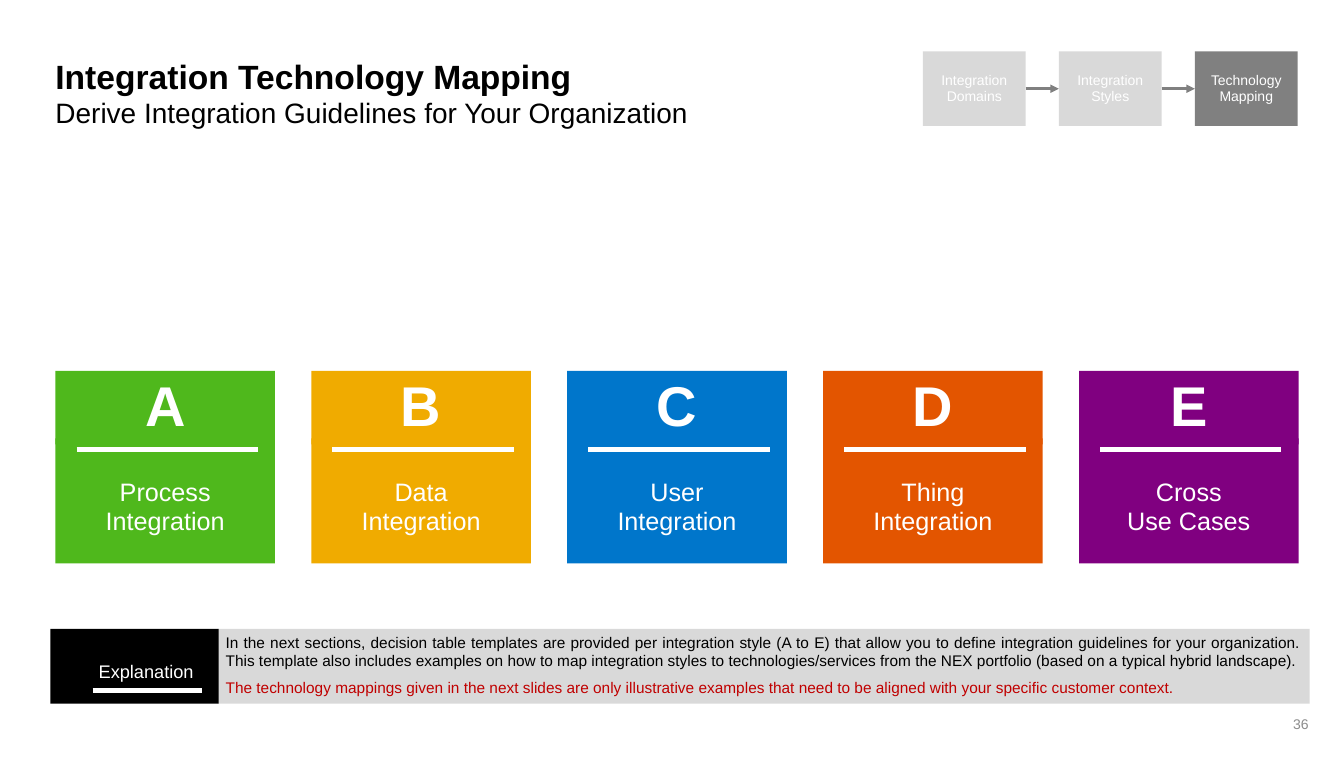
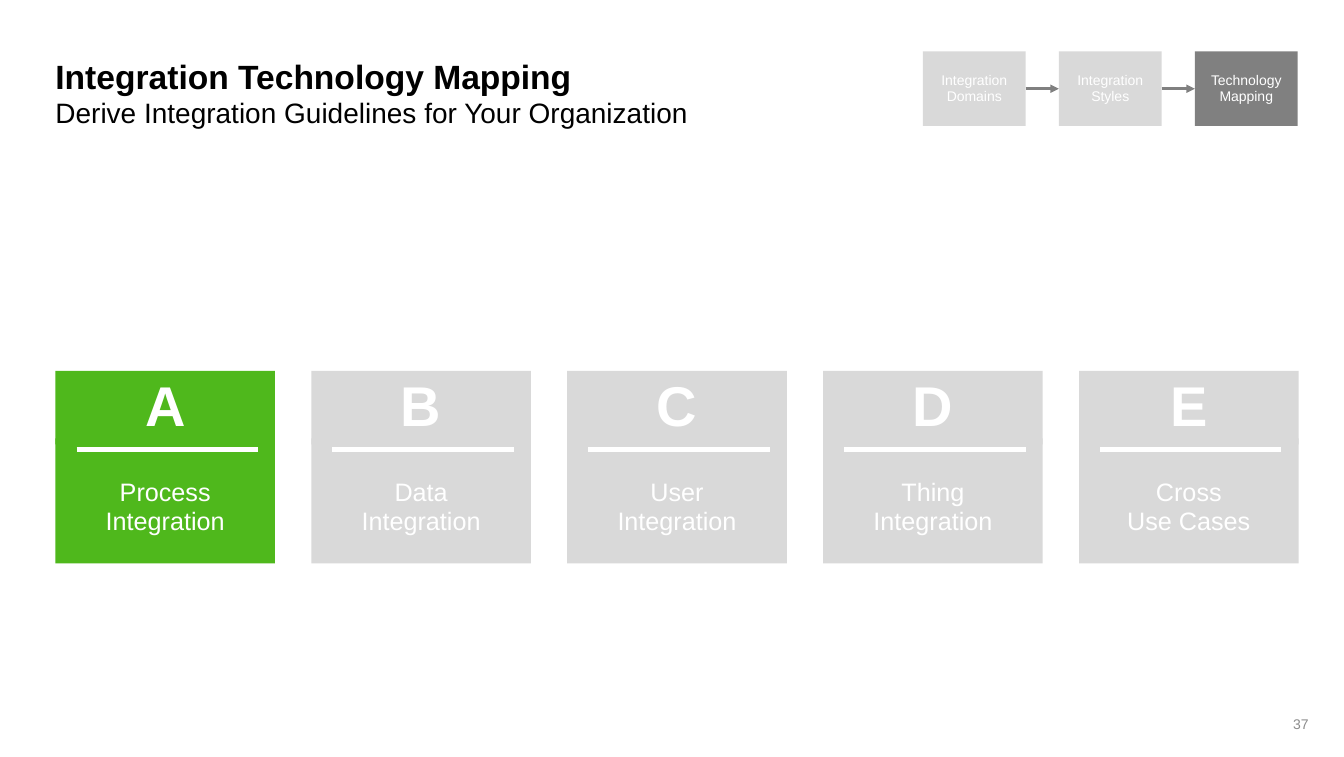
from dataclasses import dataclass

from lxml import etree
from pptx import Presentation
from pptx.dml.color import RGBColor
from pptx.enum.shapes import MSO_CONNECTOR as Connector, MSO_SHAPE as Shape
from pptx.enum.text import MSO_ANCHOR as Anchor, MSO_AUTO_SIZE as AutoSize, PP_ALIGN as Align
from pptx.oxml.ns import qn
from pptx.util import Inches, Pt

FONT = "Arial"
COLORS = {
    "black": "000000", "white": "FFFFFF", "muted": "D9D9D9", "gray": "808080",
    "number": "8C8C8C", "warning": "C00000", "green": "4FB81C",
    "amber": "F0AB00", "blue": "0076CB", "orange": "E35500", "purple": "800080",
}


@dataclass(frozen=True)
class Style:
    letter: str
    name: str
    color: str


@dataclass(frozen=True)
class Step:
    name: str
    color: str


STYLES = [
    Style("A", "Process\vIntegration", "green"),
    Style("B", "Data\vIntegration", "amber"),
    Style("C", "User\vIntegration", "blue"),
    Style("D", "Thing\vIntegration", "orange"),
    Style("E", "Cross\vUse Cases", "purple"),
]
STEPS = [
    Step("Integration Domains", "muted"),
    Step("Integration Styles", "muted"),
    Step("Technology Mapping", "gray"),
]
EXPLANATION = (
    "In the next sections, decision table templates are provided per integration "
    "style (A to E) that allow you to define integration guidelines for your "
    "organization. This template also includes examples on how to map integration "
    "styles to technologies/services from the NEX portfolio (based on a typical "
    "hybrid landscape)."
)
WARNING = (
    "The technology mappings given in the next slides are only illustrative examples "
    "that need to be aligned with your specific customer context."
)


def rgb(name: str) -> RGBColor:
    return RGBColor.from_string(COLORS[name])


def set_frame(tf, anchor=Anchor.TOP, insets=(0, 0, 0, 0)) -> None:
    tf.word_wrap = True
    tf.auto_size = AutoSize.NONE
    tf.vertical_anchor = anchor
    left, top, right, bottom = insets
    tf.margin_left, tf.margin_top = Inches(left), Inches(top)
    tf.margin_right, tf.margin_bottom = Inches(right), Inches(bottom)


def format_text(p, size: float, color: str, bold: bool = False, align=Align.LEFT) -> None:
    p.alignment = align
    for r in p.runs:
        r.font.name = FONT
        r.font.size = Pt(size)
        r.font.bold = bold
        r.font.color.rgb = rgb(color)


def add_box(slide, x: float, y: float, w: float, h: float, fill: str,
            anchor=Anchor.MIDDLE, insets=(0, 0, 0, 0)):
    sp = slide.shapes.add_shape(Shape.RECTANGLE, Inches(x), Inches(y), Inches(w), Inches(h))
    sp.shadow.inherit = False
    sp.fill.solid()
    sp.fill.fore_color.rgb = rgb(fill)
    sp.line.fill.background()
    set_frame(sp.text_frame, anchor, insets)
    return sp.text_frame


def add_label_box(slide, x: float, y: float, w: float, h: float, fill: str, text: str,
                  size: float, bold: bool = False, inset_top: float = 0) -> None:
    tf = add_box(slide, x, y, w, h, fill, insets=(0, inset_top, 0, 0))
    tf.text = text
    p = tf.paragraphs[0]
    p.line_spacing = 0.95
    format_text(p, size, "white", bold, Align.CENTER)


def add_line(slide, x1: float, x2: float, y: float, color: str, width: float,
             arrow: bool = False) -> None:
    cn = slide.shapes.add_connector(Connector.STRAIGHT, Inches(x1), Inches(y),
                                    Inches(x2), Inches(y))
    cn.line.color.rgb = rgb(color)
    cn.line.width = Pt(width)
    if arrow:
        etree.SubElement(cn.line._get_or_add_ln(), qn("a:tailEnd"), type="triangle")
    etree.SubElement(cn._element.spPr, qn("a:effectLst"))


def add_title(slide) -> None:
    sp = slide.shapes.title
    sp.left, sp.top, sp.width, sp.height = Inches(0.55), Inches(0.55), Inches(8.4), Inches(0.74)
    tf = sp.text_frame
    set_frame(tf)
    tf.text = ("Integration Technology Mapping\n"
               "Derive Integration Guidelines for Your Organization")
    heading, subtitle = tf.paragraphs
    format_text(heading, 24, "black", bold=True)
    format_text(subtitle, 20, "black")


def add_page_number(slide, number: int) -> None:
    sp = slide.shapes.add_textbox(Inches(10.01), Inches(6.98), Inches(3.11), Inches(0.4))
    tf = sp.text_frame
    set_frame(tf, Anchor.MIDDLE, (0.13, 0.07, 0.13, 0.07))
    tf.text = str(number)
    format_text(tf.paragraphs[0], 10, "number", align=Align.RIGHT)


def add_steps(slide) -> None:
    left, top, width, height, pitch = 9.16, 0.51, 1.02, 0.74, 1.35
    for i, step in enumerate(STEPS):
        x = left + i * pitch
        add_label_box(slide, x, top, width, height, step.color, step.name, 10)
        if i:
            add_line(slide, x - pitch + width, x, top + height / 2, "gray", 2, arrow=True)


def add_styles(slide, active: str) -> None:
    left, width, pitch = 0.55, 2.18, 2.54
    for i, style in enumerate(STYLES):
        x = left + i * pitch
        fill = style.color if style.letter in active else "muted"
        add_label_box(slide, x, 4.35, width, 1.24, fill, style.name, 18, inset_top=0.12)
        add_label_box(slide, x, 3.68, width, 0.73, fill, style.letter, 40, bold=True)
        add_line(slide, x + 0.21, x + 2.01, 4.46, "white", 3)


def add_explanation(slide) -> None:
    top, height = 6.24, 0.74
    tf = add_box(slide, 2.16, top, 10.84, height, "muted", Anchor.TOP, (0.08, 0.04, 0.08, 0.04))
    tf.text = f"{EXPLANATION}\n{WARNING}"
    body, warning = tf.paragraphs
    format_text(body, 11, "black", align=Align.JUSTIFY)
    format_text(warning, 11, "warning", align=Align.JUSTIFY)
    warning.space_before = Pt(6)

    tf = add_box(slide, 0.5, top, 1.67, height, "black", Anchor.TOP, (0.48, 0.31, 0.08, 0.04))
    tf.text = "Explanation"
    format_text(tf.paragraphs[0], 13, "white")
    add_line(slide, 0.92, 2.01, 6.85, "white", 3)


def add_mapping_slide(prs, number: int, active: str):
    slide = prs.slides.add_slide(prs.slide_layouts[5])
    add_title(slide)
    add_page_number(slide, number)
    add_steps(slide)
    add_styles(slide, active)
    return slide


def main() -> None:
    prs = Presentation()
    prs.slide_width, prs.slide_height = Inches(13.34), Inches(7.51)
    # Overview of all integration styles
    overview = add_mapping_slide(prs, 36, active="ABCDE")
    add_explanation(overview)
    # Section start for style A
    add_mapping_slide(prs, 37, active="A")
    prs.save("out.pptx")


if __name__ == "__main__":
    main()
